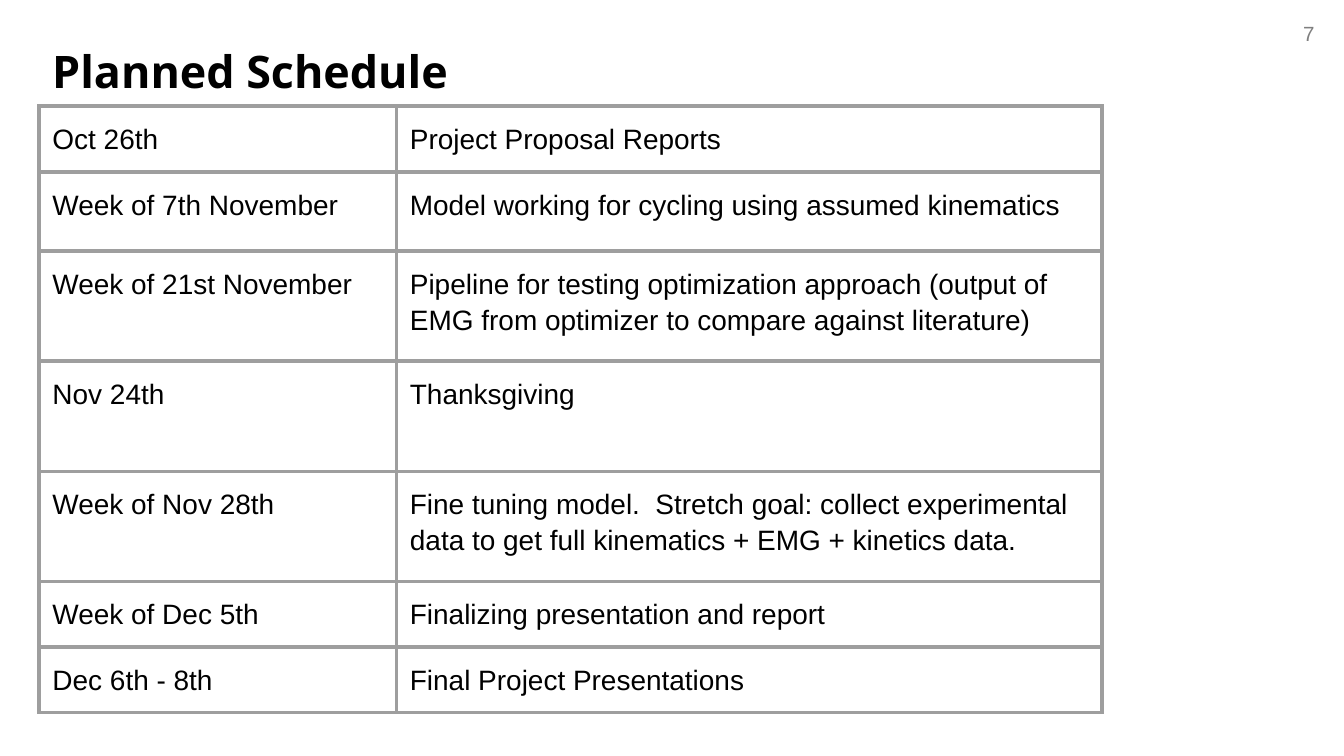
from dataclasses import dataclass

from lxml import etree
from pptx import Presentation
from pptx import util as u
from pptx.dml.color import RGBColor
from pptx.enum import text
from pptx.oxml import ns


@dataclass(frozen=True)
class Theme:
    ink: str = "000000"
    muted: str = "7F7F7F"
    rule: str = "9E9E9E"
    heading_font: str = "Open Sans"
    body_font: str = "Arial"
    title_size: float = 24
    body_size: float = 15
    number_size: float = 11
    rule_width: float = 2.25


class SlideBuilder:
    def __init__(self, page, theme):
        self.page = page
        self.theme = theme

    def style(self, para, name, size, color, bold=False):
        para.font.name = name
        para.font.size = u.Pt(size)
        para.font.color.rgb = RGBColor.from_string(color)
        para.font.bold = bold

    def textbox(self, words, left, top, width, height):
        box = self.page.shapes.add_textbox(*map(u.Inches, (left, top, width, height)))
        box.text_frame.word_wrap = True
        para = box.text_frame.paragraphs[0]
        para.text = words
        return para

    def title(self, words):
        para = self.textbox(words, 0.29, 0.28, 9.32, 0.63)
        self.style(para, self.theme.heading_font, self.theme.title_size,
                   self.theme.ink, bold=True)

    def page_number(self, number):
        para = self.textbox(str(number), 9.33, 0.11, 0.55, 0.29)
        para.alignment = text.PP_ALIGN.RIGHT
        self.style(para, self.theme.body_font, self.theme.number_size, self.theme.muted)

    def borders(self, cell):
        properties = cell._tc.get_or_add_tcPr()
        for position, side in enumerate(("lnL", "lnR", "lnT", "lnB")):
            line = etree.Element(ns.qn(f"a:{side}"), w=str(u.Pt(self.theme.rule_width)))
            fill = etree.SubElement(line, ns.qn("a:solidFill"))
            etree.SubElement(fill, ns.qn("a:srgbClr"), val=self.theme.rule)
            properties.insert(position, line)

    def cell(self, cell, words):
        cell.fill.background()
        cell.margin_left = cell.margin_right = u.Inches(0.1)
        cell.margin_top = cell.margin_bottom = u.Inches(0.1)
        para = cell.text_frame.paragraphs[0]
        para.text = words
        para.line_spacing = 1.15
        para.space_after = u.Pt(12)
        self.style(para, self.theme.body_font, self.theme.body_size, self.theme.ink)
        self.borders(cell)

    def table(self, rows, left, top, widths, heights):
        frame = self.page.shapes.add_table(
            len(rows), len(widths),
            *map(u.Inches, (left, top, sum(widths), sum(heights))))
        table = frame.table
        table.first_row = table.horz_banding = False
        for column, width in zip(table.columns, widths):
            column.width = u.Inches(width)
        for row, height, entries in zip(table.rows, heights, rows):
            row.height = u.Inches(height)
            for cell, words in zip(row.cells, entries):
                self.cell(cell, words)


SCHEDULE = [
    ("Oct 26th", "Project Proposal Reports"),
    ("Week of 7th November", "Model working for cycling using assumed kinematics"),
    ("Week of 21st November",
     "Pipeline for testing optimization approach (output of EMG from optimizer "
     "to compare against literature)"),
    ("Nov 24th", "Thanksgiving"),
    ("Week of Nov 28th",
     "Fine tuning model.  Stretch goal: collect experimental data to get full "
     "kinematics + EMG + kinetics data."),
    ("Week of Dec 5th", "Finalizing presentation and report"),
    ("Dec 6th - 8th", "Final Project Presentations"),
]


def main():
    deck = Presentation()
    deck.slide_width = u.Inches(10)
    deck.slide_height = deck.slide_width * 9 // 16
    page = deck.slides.add_slide(deck.slide_layouts[6])
    builder = SlideBuilder(page, Theme())
    builder.page_number(7)
    builder.title("Planned Schedule")
    short, medium, tall = 0.44, 0.59, 0.82
    builder.table(SCHEDULE, 0.29, 0.79, widths=(2.66, 5.25),
                  heights=(short, medium, tall, tall, tall, short, short))
    deck.save("out.pptx")


if __name__ == "__main__":
    main()
